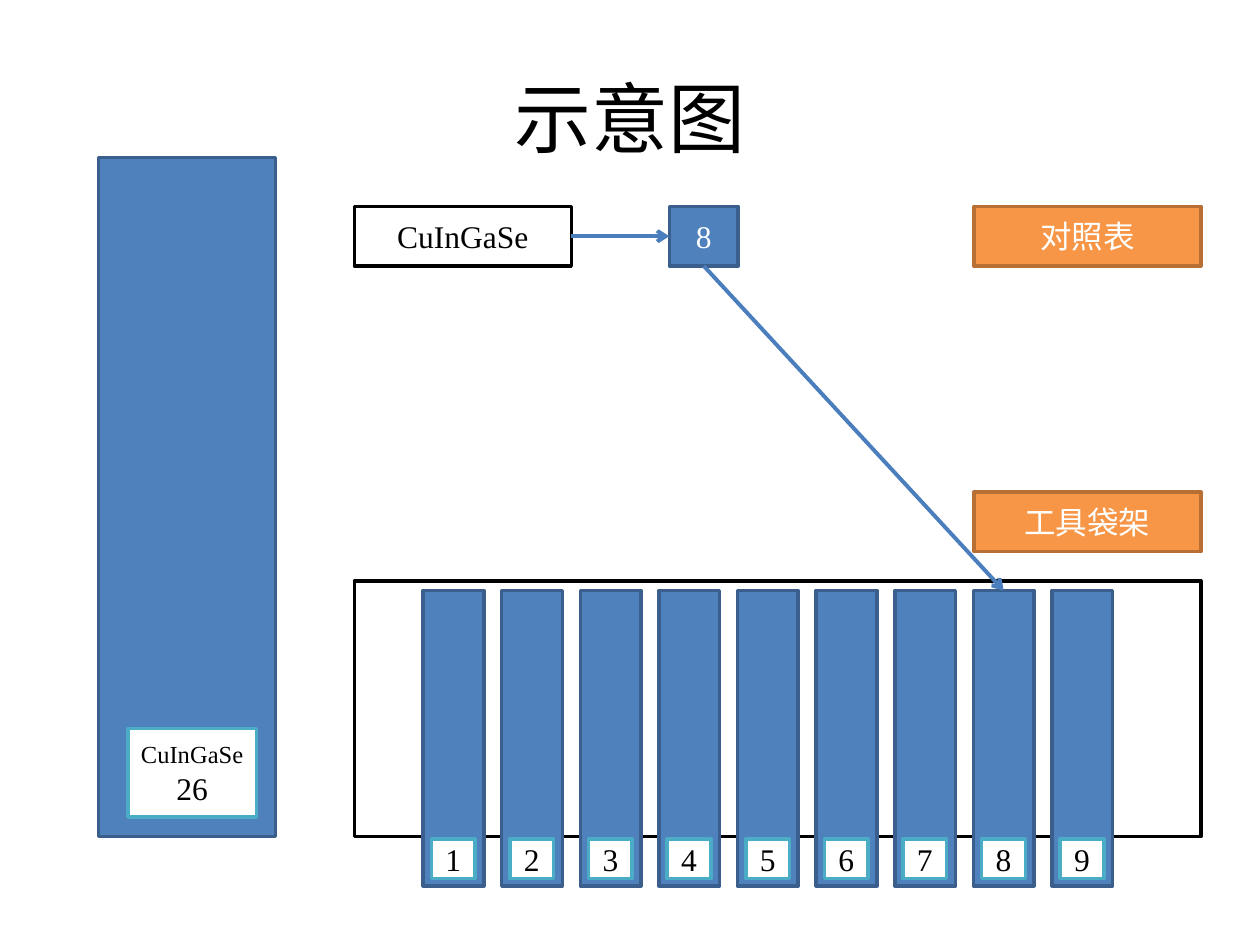
from dataclasses import dataclass

from lxml import etree
from pptx import Presentation
from pptx import util as u
from pptx.dml.color import RGBColor
from pptx.enum import shapes, text
from pptx.oxml.ns import qn

FONT = "Times New Roman"
HUES = {
    "white": "FFFFFF", "black": "000000", "blue": "4F81BD", "navy": "3A5F8C",
    "teal": "4BACC6", "orange": "F79646", "brown": "B76F34", "arrow": "4B7EBC",
}
# Style name: fill, line, font colour
STYLES = {
    "plain": ("white", "black", "black"),
    "bag": ("blue", "navy", "white"),
    "tag": ("white", "teal", "black"),
    "label": ("orange", "brown", "white"),
}


@dataclass
class Box:
    style: str
    left: float
    top: float
    width: float
    height: float
    lines: tuple = ()  # (words, size) for each paragraph


def hue(name: str) -> RGBColor:
    return RGBColor.from_string(HUES[name])


def write(shape, lines: tuple, ink: str) -> None:
    frame = shape.text_frame
    form = {"word_wrap": True, "vertical_anchor": text.MSO_ANCHOR.MIDDLE,
            "margin_left": 0, "margin_right": 0,
            "margin_top": 0, "margin_bottom": 0}
    for key, value in form.items():
        setattr(frame, key, value)
    for i, (words, size) in enumerate(lines):
        para = frame.add_paragraph() if i else frame.paragraphs[0]
        para.alignment = text.PP_ALIGN.CENTER
        run = para.add_run()
        run.text = words
        for key, value in {"name": FONT, "size": u.Pt(size)}.items():
            setattr(run.font, key, value)
        run.font.color.rgb = hue(ink)


def draw(tree, box: Box):
    fill, edge, ink = STYLES[box.style]
    area = map(u.Pt, (box.left, box.top, box.width, box.height))
    shape = tree.add_shape(shapes.MSO_SHAPE.RECTANGLE, *area)
    shape.shadow.inherit = False
    shape.fill.solid()
    shape.fill.fore_color.rgb = hue(fill)
    shape.line.color.rgb = hue(edge)
    shape.line.width = u.Pt(2)
    if box.lines:
        write(shape, box.lines, ink)
    return shape


def link(tree, start, out: int, end, into: int) -> None:
    line = tree.add_connector(shapes.MSO_CONNECTOR.STRAIGHT, 0, 0, 0, 0)
    line.begin_connect(start, out)
    line.end_connect(end, into)
    line.line.color.rgb = hue("arrow")
    line.line.width = u.Pt(2.25)
    etree.SubElement(line.line._get_or_add_ln(), qn("a:tailEnd"), type="arrow")
    etree.SubElement(line._element.spPr, qn("a:effectLst"))


def main() -> None:
    deck = Presentation()
    deck.slide_width, deck.slide_height = u.Pt(720), u.Pt(540)
    tree = deck.slides.add_slide(deck.slide_layouts[6]).shapes

    # Title
    title = tree.add_textbox(*map(u.Pt, (36, 21.6, 648, 90)))
    write(title, (("示意图", 44),), "black")

    # Rack with nine numbered bags
    draw(tree, Box("plain", 202.5, 332, 483.75, 146))
    rack = tree.add_group_shape().shapes
    bags = {}
    for num in range(1, 10):
        left = 241.8 + 44.92 * (num - 1)
        bags[num] = draw(rack, Box("bag", left, 337.5, 34.7, 168.75))
        draw(rack, Box("tag", left + 4.7, 479.5, 25, 22.5, ((str(num), 18),)))

    # Lookup from formula to bag number
    code = draw(tree, Box("bag", 382.5, 118, 39.4, 34, (("8", 18),)))
    name = draw(tree, Box("plain", 202.5, 118, 124, 34, (("CuInGaSe", 18),)))
    link(tree, name, 3, code, 1)
    link(tree, code, 2, bags[8], 0)

    # Section labels
    for words, top in (("对照表", 118), ("工具袋架", 281.2)):
        draw(tree, Box("label", 556.5, top, 129.75, 34, ((words, 18),)))

    # Large single bag with its tag
    draw(tree, Box("bag", 56.25, 90, 101.25, 388))
    draw(tree, Box("tag", 73.1, 416.2, 73.4, 50.7, (("CuInGaSe", 14), ("26", 18))))

    deck.save("out.pptx")


if __name__ == "__main__":
    main()
